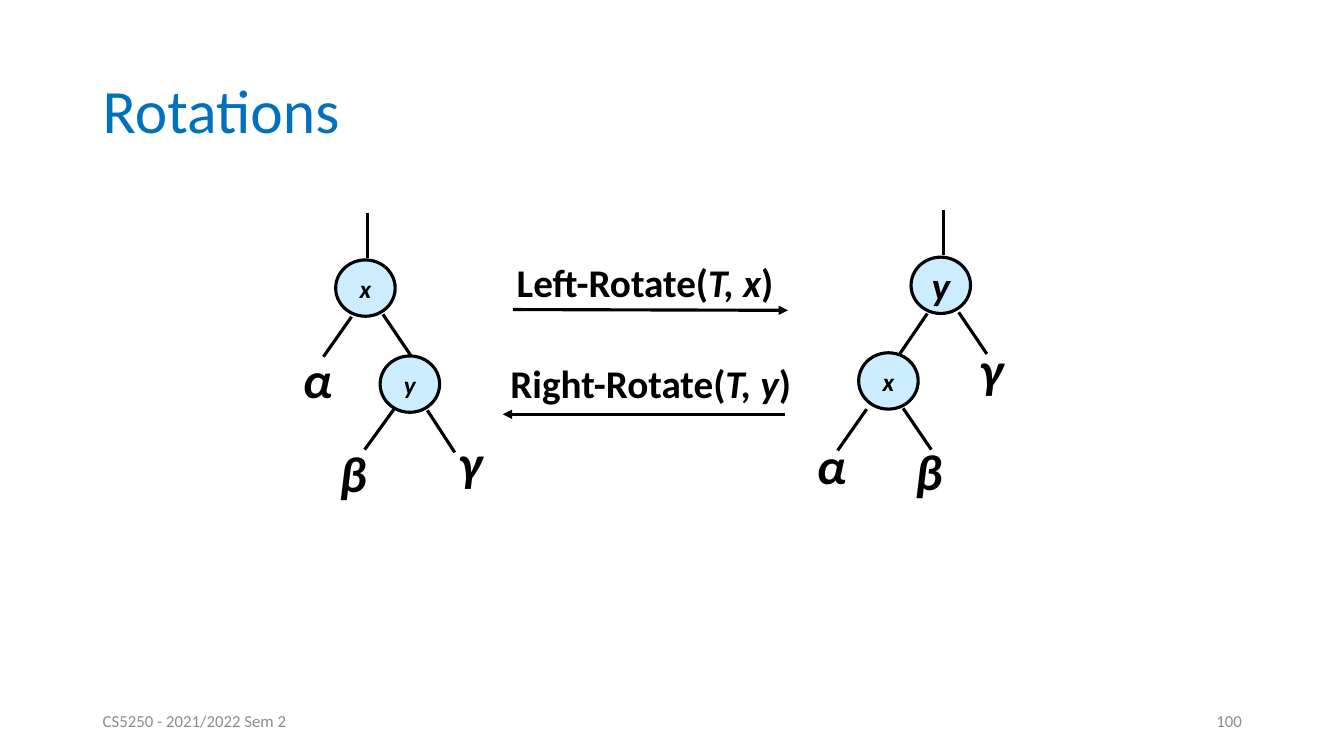
"""Build a slide showing left and right rotations of a binary search tree."""
from dataclasses import dataclass

from lxml import etree
from pptx import Presentation
from pptx.dml.color import RGBColor
from pptx.enum.shapes import MSO_CONNECTOR, MSO_SHAPE
from pptx.enum.text import MSO_ANCHOR, PP_ALIGN
from pptx.oxml.ns import qn
from pptx.util import Cm, Pt

STRAIGHT = MSO_CONNECTOR.STRAIGHT
OVAL = MSO_SHAPE.OVAL
MIDDLE = MSO_ANCHOR.MIDDLE
LEFT, CENTER, RIGHT = PP_ALIGN.LEFT, PP_ALIGN.CENTER, PP_ALIGN.RIGHT

FONT = "Calibri"
COLORS = {"title": "0070C0", "ink": "000000", "node": "CCECFF", "footer": "8C8C8C"}
NODE_W, NODE_H = 1.5, 1.42
LINE_WIDTH = 2.25


@dataclass
class Node:
    key: str
    x: float
    y: float
    size: int = 18


@dataclass
class Line:
    x1: float
    y1: float
    x2: float
    y2: float
    arrow: bool = False


@dataclass
class Label:
    runs: list[tuple[str, bool]]
    x: float
    y: float
    w: float
    h: float
    size: int
    color: str = "ink"
    bold: bool = True
    align: PP_ALIGN = CENTER
    wrap: bool = False
    spacing: float = 1.0


def subtree(name: str, x: float, y: float) -> Label:
    return Label([(name, True)], x, y, 1.4, 1.78, 36)


def operation(name: str, args: str, x: float, y: float, w: float) -> Label:
    return Label([(name + "(", False), (args, True), (")", False)], x, y, w, 1.45, 28)


def footer(text: str, x: float, align: PP_ALIGN) -> Label:
    return Label([(text, False)], x, 17.65, 7.62, 1.02, 12, "footer", False, align, True)


NODES = [
    Node("x", 8.46, 6.55),
    Node("y", 9.58, 8.97),
    Node("y", 22.96, 6.48, 28),
    Node("x", 21.64, 8.89),
]

LINES = [
    Line(9.27, 5.36, 9.27, 6.5),
    Line(8.86, 7.98, 8.15, 8.99),
    Line(9.65, 7.92, 10.36, 8.97),
    Line(9.93, 10.31, 9.19, 11.33),
    Line(10.77, 10.34, 11.46, 11.4),
    Line(23.77, 5.28, 23.77, 6.43),
    Line(23.37, 7.9, 22.66, 8.94),
    Line(24.16, 7.87, 24.87, 8.92),
    Line(21.84, 10.31, 21.11, 11.35),
    Line(22.76, 10.29, 23.47, 11.33),
    Line(12.93, 7.8, 19.86, 7.82, True),
    Line(19.79, 10.44, 12.67, 10.44, True),
]

LABELS = [
    Label([("Rotations", False)], 2.34, 1.02, 29.21, 3.68, 44, "title", False, LEFT, True, 0.9),
    subtree("α", 7.3, 8.64),
    subtree("β", 8.2, 11.02),
    subtree("γ", 11.15, 10.74),
    subtree("α", 20.25, 10.82),
    subtree("β", 22.71, 10.97),
    subtree("γ", 24.28, 8.38),
    operation("Left-Rotate", "T, x", 12.7, 6.38, 7.11),
    operation("Right-Rotate", "T, y", 12.55, 8.92, 7.7),
    footer("CS5250 - 2021/2022 Sem 2", 2.34, LEFT),
    footer("100", 23.93, RIGHT),
]


def rgb(name: str) -> RGBColor:
    return RGBColor.from_string(COLORS[name])


def write(shape, runs: list[tuple[str, bool]], size: int, color: str = "ink",
          bold: bool = True, align: PP_ALIGN = CENTER, wrap: bool = False,
          spacing: float = 1.0) -> None:
    tf = shape.text_frame
    tf.word_wrap = wrap
    tf.vertical_anchor = MIDDLE
    p = tf.paragraphs[0]
    p.alignment = align
    p.line_spacing = spacing
    for text, italic in runs:
        r = p.add_run()
        r.text = text
        r.font.name = FONT
        r.font.size = Pt(size)
        r.font.bold = bold
        r.font.italic = italic
        r.font.color.rgb = rgb(color)


def draw_node(s, node: Node) -> None:
    sp = s.shapes.add_shape(OVAL, Cm(node.x), Cm(node.y), Cm(NODE_W), Cm(NODE_H))
    sp.shadow.inherit = False
    sp.fill.solid()
    sp.fill.fore_color.rgb = rgb("node")
    sp.line.color.rgb = rgb("ink")
    sp.line.width = Pt(LINE_WIDTH)
    write(sp, [(node.key, True)], node.size)


def draw_line(s, line: Line) -> None:
    cx = s.shapes.add_connector(STRAIGHT, Cm(line.x1), Cm(line.y1), Cm(line.x2), Cm(line.y2))
    cx.line.color.rgb = rgb("ink")
    cx.line.width = Pt(LINE_WIDTH)
    if line.arrow:
        etree.SubElement(cx.line._get_or_add_ln(), qn("a:tailEnd"), type="triangle")
    etree.SubElement(cx._element.spPr, qn("a:effectLst"))


def draw_label(s, label: Label) -> None:
    sp = s.shapes.add_textbox(Cm(label.x), Cm(label.y), Cm(label.w), Cm(label.h))
    write(sp, label.runs, label.size, label.color, label.bold, label.align,
          label.wrap, label.spacing)


def main() -> None:
    prs = Presentation()
    prs.slide_width, prs.slide_height = Cm(33.87), Cm(19.05)
    s = prs.slides.add_slide(prs.slide_layouts[6])
    for node in NODES:
        draw_node(s, node)
    for line in LINES:
        draw_line(s, line)
    for label in LABELS:
        draw_label(s, label)
    prs.save("out.pptx")


if __name__ == "__main__":
    main()
